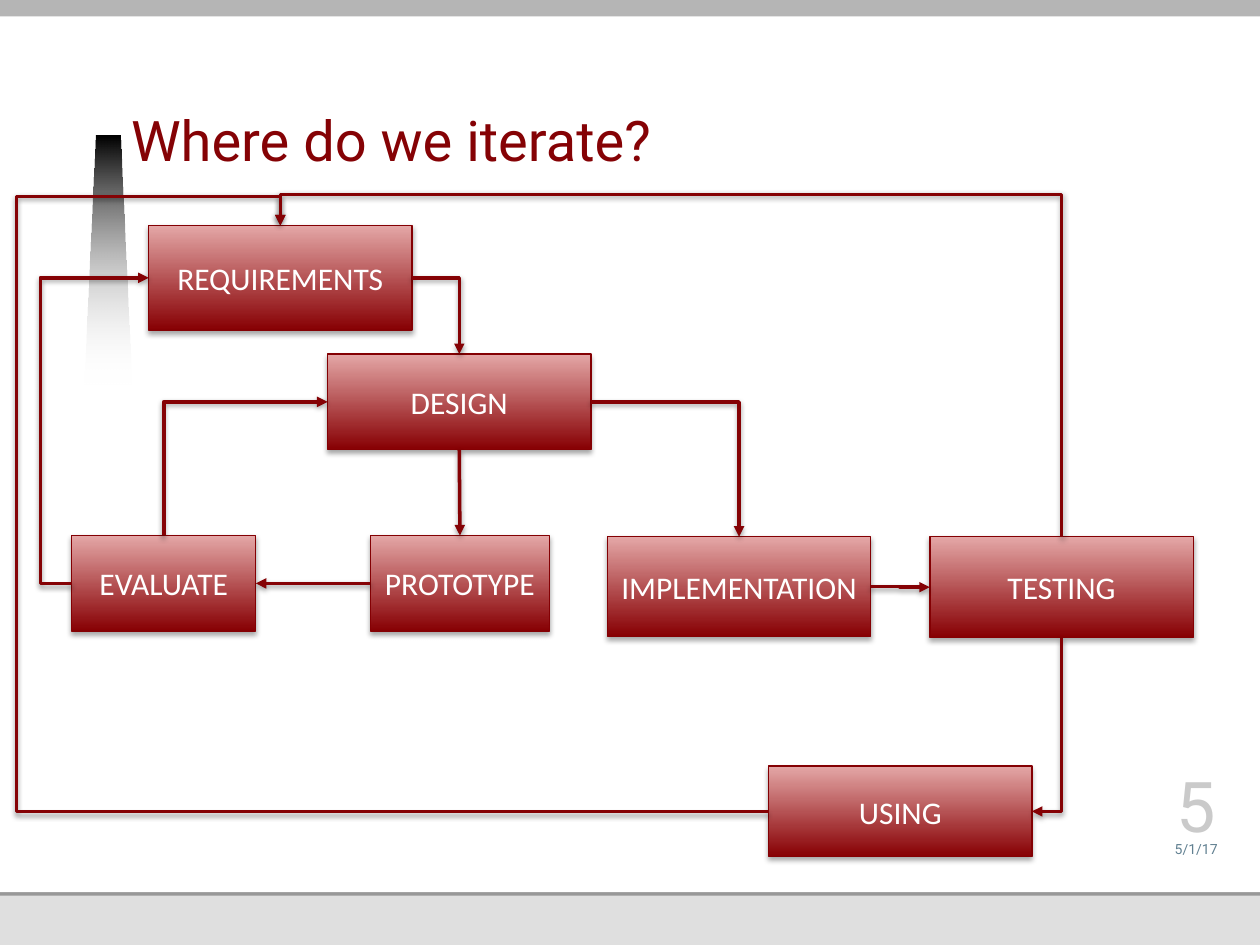
from dataclasses import dataclass
from typing import NamedTuple

from lxml.etree import SubElement as Sub
from pptx import Presentation
from pptx.dml.color import RGBColor as Rgb
from pptx.enum.shapes import MSO_CONNECTOR as Link, MSO_SHAPE as Kind
from pptx.enum.text import MSO_ANCHOR as Anchor, PP_ALIGN as Align
from pptx.oxml.ns import qn
from pptx.util import Inches, Pt


@dataclass(frozen=True)
class Theme:
    """Colours, fonts and type sizes of the slide."""
    white: str = "FFFFFF"
    black: str = "000000"
    base: str = "DFDFDF"
    rule: str = "989898"
    band: str = "B5B5B5"
    red: str = "850205"
    edge: str = "840003"
    deep: str = "870003"
    pale: str = "E4A7A7"
    date: str = "618091"
    count: str = "CACACA"
    head_font: str = "Roboto"
    node_font: str = "Calibri"
    head_size: int = 32
    node_size: int = 18
    date_size: int = 8
    count_size: int = 40


class Panel(NamedTuple):
    """A plain backdrop rectangle."""
    left: float
    top: float
    width: float
    height: float
    fill: str


class Node(NamedTuple):
    """A labelled step of the process."""
    text: str
    left: float
    top: float
    width: float
    height: float


class Route(NamedTuple):
    """An arrow between two node sides, with its bend, turn and flips."""
    start: str
    out: int
    end: str
    into: int
    bend: int = 0
    turn: int = 0
    flip: str = ""
    adjust: tuple = ()


class Label(NamedTuple):
    """A bottom-anchored text box."""
    text: str
    left: float
    top: float
    width: float
    height: float
    size: int
    color: str
    align: Align
    foot: float = 0
    pitch: int = 0
    track: int = 0


THEME = Theme()
TOP, LEFT, BOTTOM, RIGHT = range(4)
PANELS = [
    Panel(0, 0, 10, 7.5, THEME.base),
    Panel(0, 1.78, 10, 5.33, THEME.rule),
    Panel(0, 0, 10, 7.08, THEME.white),
    Panel(0, 0, 7.9, 0.11, THEME.rule),
]
BAND = Panel(0, -0.04, 10.17, 0.17, THEME.band)
BEAM = [(0.67, 3.05), (0.76, 1.08), (0.95, 1.08), (1.04, 3.05)]
WIDE = 2.09
NODES = [
    Node("REQUIREMENTS", 1.18, 1.79, WIDE, 0.83),
    Node("DESIGN", 2.6, 2.81, WIDE, 0.76),
    Node("IMPLEMENTATION", 4.82, 4.26, WIDE, 0.79),
    Node("TESTING", 7.38, 4.26, WIDE, 0.8),
    Node("USING", 6.1, 6.08, WIDE, 0.72),
    Node("PROTOTYPE", 2.94, 4.25, 1.42, 0.76),
    Node("EVALUATE", 0.57, 4.25, 1.46, 0.76),
]
ROUTES = [
    Route("REQUIREMENTS", RIGHT, "DESIGN", TOP, 2),
    Route("DESIGN", RIGHT, "IMPLEMENTATION", TOP, 2),
    Route("IMPLEMENTATION", RIGHT, "TESTING", LEFT, 3, adjust=(0.5,)),
    Route("TESTING", BOTTOM, "USING", RIGHT, 2, 90),
    Route("PROTOTYPE", LEFT, "EVALUATE", RIGHT),
    Route("DESIGN", BOTTOM, "PROTOTYPE", TOP),
    Route("EVALUATE", LEFT, "REQUIREMENTS", LEFT, 3, 180, "H", (-0.41,)),
    Route("EVALUATE", TOP, "DESIGN", LEFT, 2, 90, "HV"),
    Route("TESTING", TOP, "REQUIREMENTS", TOP, 3, 270, "V", (1.1,)),
    Route("USING", LEFT, "REQUIREMENTS", TOP, 4, 180, "", (1.54, 1.05)),
]
LABELS = [
    Label("Where do we iterate?", 1.04, 0.34, 6.87, 1.08, THEME.head_size,
          THEME.red, Align.LEFT, foot=0.05, pitch=34),
    Label("5/1/17", 9.13, 6.58, 0.73, 0.22, THEME.date_size, THEME.date, Align.CENTER),
    Label("5", 9.13, 6.16, 0.73, 0.56, THEME.count_size, THEME.count, Align.CENTER, track=-500),
]


def place(item: Panel | Node | Label) -> list:
    return [Inches(n) for n in (item.left, item.top, item.width, item.height)]


def blend(shape, first: str, last: str, angle: int) -> None:
    shape.fill.gradient()
    shape.fill.gradient_angle = angle
    for stop, color, spot in zip(shape.fill.gradient_stops, (first, last), (0, 1)):
        stop.color.rgb = Rgb.from_string(color)
        stop.position = spot


def shade(effects, alpha: int, gap: float) -> None:
    cast = Sub(effects, qn("a:outerShdw"), blurRad=str(Pt(3.1)), dist=str(Pt(gap)),
               dir="5400000", rotWithShape="0")
    tint = Sub(cast, qn("a:srgbClr"), val=THEME.black)
    Sub(tint, qn("a:alpha"), val=str(alpha * 1000))


def style(font, name: str, size: int, color: str) -> None:
    font.name, font.size = name, Pt(size)
    font.color.rgb = Rgb.from_string(color)


def draw_panel(shapes, panel: Panel) -> None:
    shape = shapes.add_shape(Kind.RECTANGLE, *place(panel))
    shape.shadow.inherit = False
    shape.fill.solid()
    shape.fill.fore_color.rgb = Rgb.from_string(panel.fill)
    shape.line.fill.background()


def draw_beam(shapes) -> None:
    first, *rest = [(Inches(x), Inches(y)) for x, y in BEAM]
    maker = shapes.build_freeform(*first)
    maker.add_line_segments(rest, close=True)
    shape = maker.convert_to_shape()
    shape.shadow.inherit = False
    shape.line.fill.background()
    blend(shape, THEME.black, THEME.white, 270)
    last = list(shape.element.spPr.iter(qn("a:srgbClr")))[-1]
    Sub(last, qn("a:alpha"), val="0")


def draw_label(shapes, label: Label) -> None:
    frame = shapes.add_textbox(*place(label)).text_frame
    frame.word_wrap = True
    frame.vertical_anchor = Anchor.BOTTOM
    frame.margin_left = frame.margin_right = frame.margin_top = 0
    frame.margin_bottom = Inches(label.foot)
    frame.text = label.text
    para = frame.paragraphs[0]
    para.alignment = label.align
    if label.pitch:
        para.line_spacing = Pt(label.pitch)
    font = para.runs[0].font
    style(font, THEME.head_font, label.size, label.color)
    if label.track:
        para.runs[0]._r.get_or_add_rPr().set("spc", str(label.track))


def draw_node(shapes, node: Node):
    shape = shapes.add_shape(Kind.RECTANGLE, *place(node))
    blend(shape, THEME.deep, THEME.pale, 90)
    shape.line.color.rgb = Rgb.from_string(THEME.edge)
    shape.line.width = Pt(0.75)
    shape.shadow.inherit = False
    shade(shape.element.spPr.find(qn("a:effectLst")), 35, 1.8)
    frame = shape.text_frame
    frame.vertical_anchor = Anchor.MIDDLE
    frame.text = node.text
    para = frame.paragraphs[0]
    para.alignment = Align.CENTER
    style(para.runs[0].font, THEME.node_font, THEME.node_size, THEME.white)
    return shape


def port(shape, side: int) -> tuple[int, int]:
    across, down = ((1, 0), (0, 1), (1, 2), (2, 1))[side]
    return shape.left + shape.width * across // 2, shape.top + shape.height * down // 2


def bend(line, route: Route, start: tuple, end: tuple) -> None:
    width, height = abs(end[0] - start[0]), abs(end[1] - start[1])
    if route.turn % 180:
        width, height = height, width
    line.left = (start[0] + end[0] - width) // 2
    line.top = (start[1] + end[1] - height) // 2
    line.width, line.height = width, height
    frame = line.element.spPr.find(qn("a:xfrm"))
    frame.set("rot", str(route.turn * 60000))
    for axis in "HV":
        frame.set("flip" + axis, str(int(axis in route.flip)))
    form = line.element.spPr.find(qn("a:prstGeom"))
    form.set("prst", f"bentConnector{route.bend}")
    guides = form.find(qn("a:avLst"))
    for rank, share in enumerate(route.adjust, 1):
        Sub(guides, qn("a:gd"), name=f"adj{rank}", fmla=f"val {round(share * 100000)}")


def draw_route(shapes, route: Route, nodes: dict) -> None:
    source, target = nodes[route.start], nodes[route.end]
    start, end = port(source, route.out), port(target, route.into)
    line = shapes.add_connector(Link.ELBOW if route.bend else Link.STRAIGHT, *start, *end)
    line.begin_connect(source, route.out)
    line.end_connect(target, route.into)
    if route.bend:
        bend(line, route, start, end)
    line.line.color.rgb = Rgb.from_string(THEME.red)
    line.line.width = Pt(2)
    Sub(line.line._get_or_add_ln(), qn("a:tailEnd"), type="triangle")
    shade(Sub(line.element.spPr, qn("a:effectLst")), 38, 1.6)


def main() -> None:
    """Build the slide on where the process iterates."""
    deck = Presentation()
    deck.slide_width, deck.slide_height = Inches(10), Inches(7.5)
    shapes = deck.slides.add_slide(deck.slide_layouts[6]).shapes
    for panel in PANELS:
        draw_panel(shapes, panel)
    draw_beam(shapes)
    draw_panel(shapes, BAND)
    for label in LABELS:
        draw_label(shapes, label)
    nodes = {node.text: draw_node(shapes, node) for node in NODES}
    for route in ROUTES:
        draw_route(shapes, route, nodes)
    deck.save("out.pptx")


if __name__ == "__main__":
    main()
